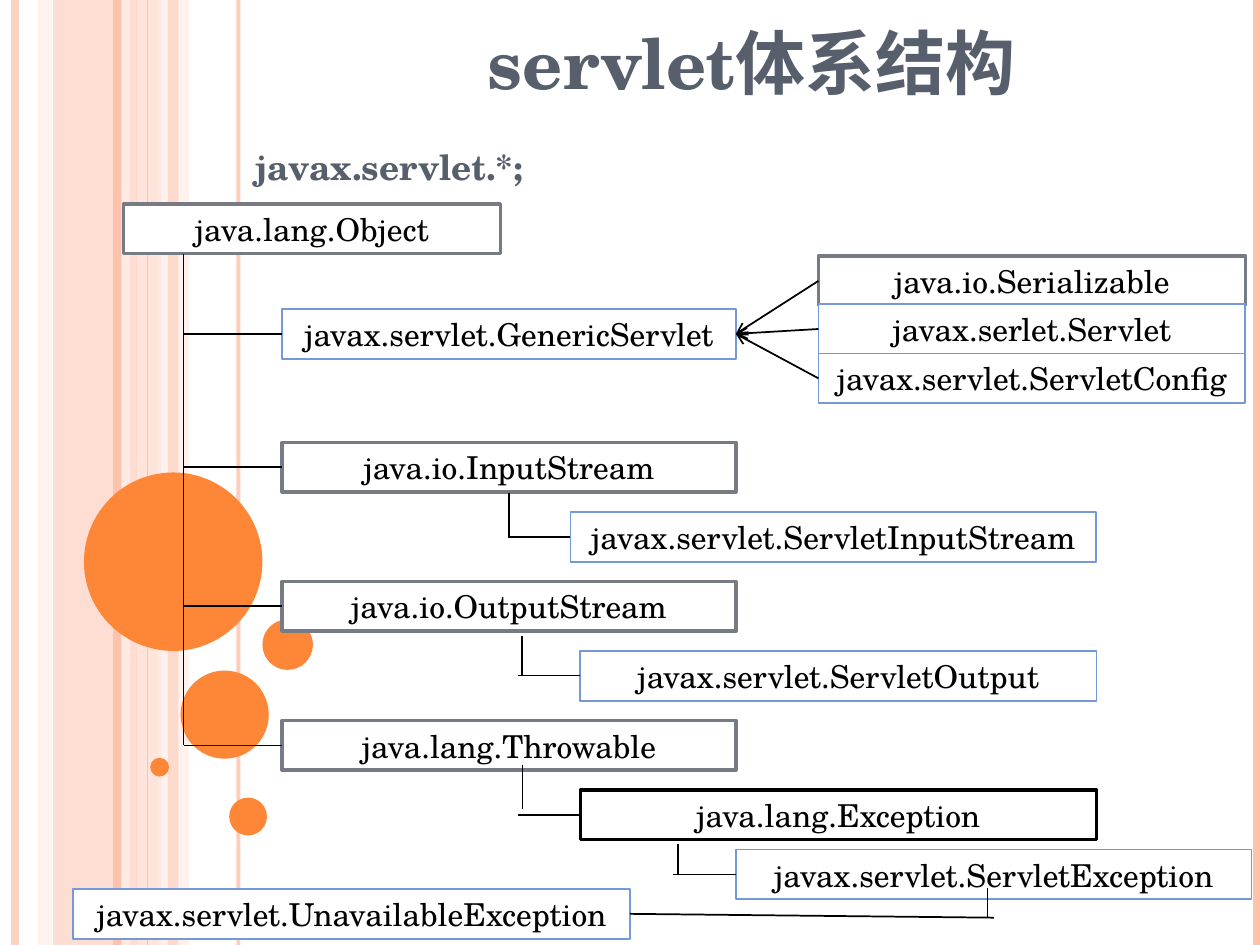
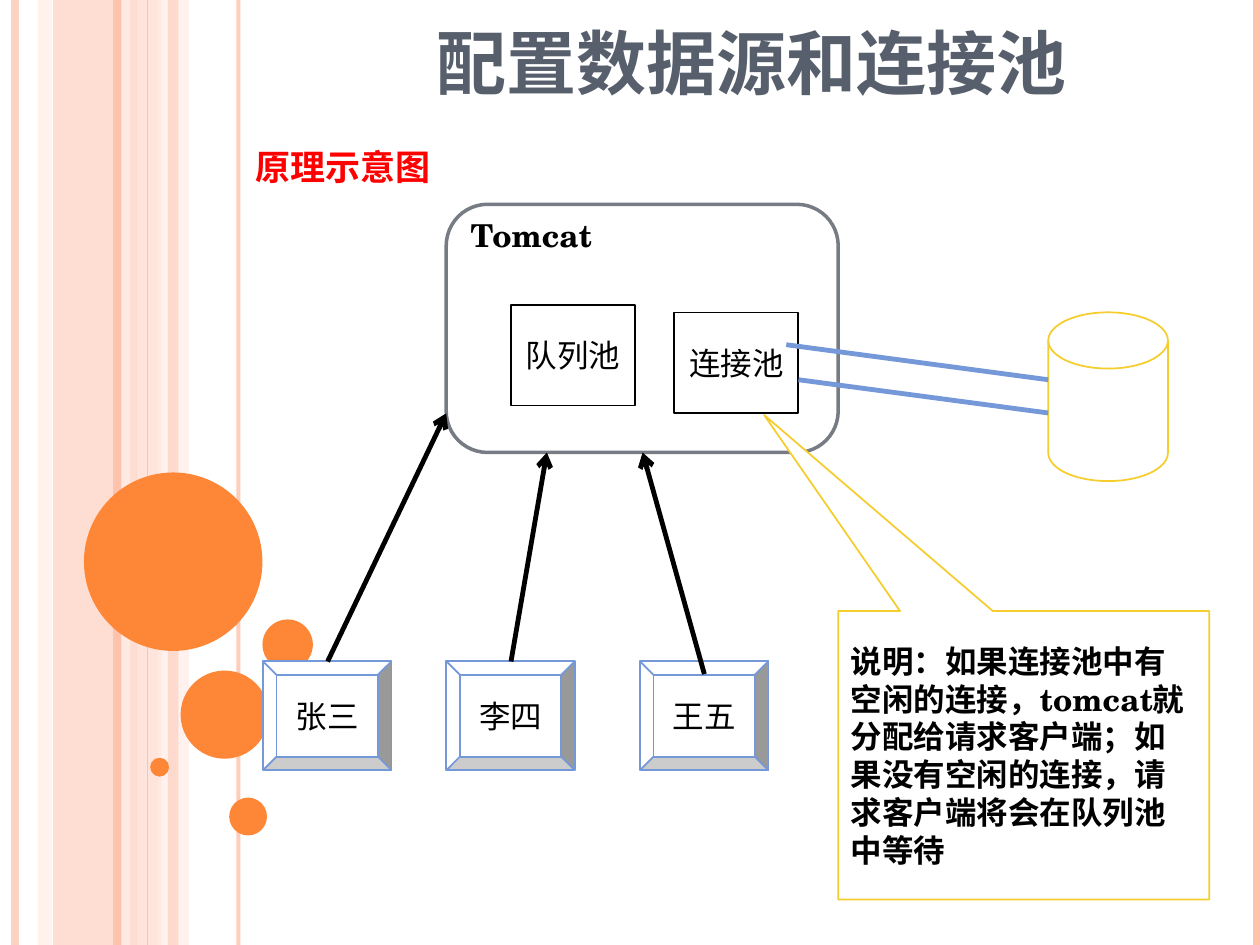
from lxml import etree
from pptx import Presentation
from pptx.dml.color import RGBColor
from pptx.enum.shapes import MSO_CONNECTOR, MSO_SHAPE
from pptx.enum.text import MSO_ANCHOR, MSO_AUTO_SIZE, PP_ALIGN
from pptx.oxml.ns import qn
from pptx.util import Pt

WIDTH, HEIGHT = 720, 540
LATIN, CJK = "TeX Gyre Schola", "Noto Sans CJK SC"
BLACK = RGBColor(0x00, 0x00, 0x00)
WHITE = RGBColor(0xFF, 0xFF, 0xFF)
SLATE = RGBColor(0x57, 0x5F, 0x6D)
GRAY = RGBColor(0x77, 0x7C, 0x84)
BLUE = RGBColor(0x75, 0x98, 0xD9)
YELLOW = RGBColor(0xF5, 0xCD, 0x2D)
RED = RGBColor(0xFF, 0x00, 0x00)
ORANGE = RGBColor(0xFE, 0x86, 0x37)
PEACH = RGBColor(0xFE, 0xC2, 0xAD)
PALE = RGBColor(0xFF, 0xD9, 0xCD)
FAINT = RGBColor(0xFF, 0xED, 0xE7)

BANDS = [(30.2, 48, PEACH, 54), (21.6, 8, PALE, 36), (77.8, 14.4, PALE, 69),
         (90, 18, FAINT, 70), (96, 6, PEACH, 50)]
STRIPES = [(8.6, PEACH, 4.5, 72), (72, FAINT, 4.5, 83), (67, PEACH, 4.5, 100),
           (136.2, PEACH, 2.25, 81), (84.2, PEACH, 0.75, 100), (718, PEACH, 4.5, 100)]
BUBBLES = [(48, 270, 102), (103.2, 383.2, 50.4), (85.8, 433, 10.8),
           (131, 455.8, 21.6), (150, 354, 28.8)]


class Deck:
    def __init__(self):
        self.prs = Presentation()
        self.prs.slide_width, self.prs.slide_height = Pt(WIDTH), Pt(HEIGHT)
        self.s = None

    def slide(self, title, subtitle, color):
        self.s = self.prs.slides.add_slide(self.prs.slide_layouts[5])
        self.background()
        sp = self.s.shapes.title
        sp.left, sp.top, sp.width, sp.height = Pt(139), Pt(0), Pt(581), Pt(62.6)
        self.text(sp, title, 40, SLATE, True, anchor=MSO_ANCHOR.BOTTOM)
        sp = self.s.shapes.add_textbox(Pt(139), Pt(79.5), Pt(581), Pt(36))
        self.text(sp, subtitle, 20, color, True, PP_ALIGN.LEFT, MSO_ANCHOR.TOP)

    def background(self):
        for x, w, color, alpha in BANDS:
            sp = self.shape(MSO_SHAPE.RECTANGLE, x, 0, w, HEIGHT, color)
            self.opacity(sp, alpha)
        for x, color, width, alpha in STRIPES:
            self.opacity(self.line(x, 0, x, HEIGHT, color, width), alpha)
        for x, y, d in BUBBLES:
            self.shape(MSO_SHAPE.OVAL, x, y, d, d, ORANGE)

    def opacity(self, sp, percent):
        if percent < 100:
            clr = next(sp._element.spPr.iter(qn("a:srgbClr")))
            etree.SubElement(clr, qn("a:alpha"), val=str(percent * 1000))

    def shape(self, kind, x, y, w, h, fill=WHITE, line=None, width=1):
        sp = self.s.shapes.add_shape(kind, Pt(x), Pt(y), Pt(w), Pt(h))
        sp.shadow.inherit = False
        sp.fill.solid()
        sp.fill.fore_color.rgb = fill
        if line is None:
            sp.line.fill.background()
        else:
            sp.line.color.rgb = line
            sp.line.width = Pt(width)
        return sp

    def text(self, sp, runs, size=18, color=BLACK, bold=False,
             align=PP_ALIGN.CENTER, anchor=MSO_ANCHOR.MIDDLE, font=LATIN):
        tf = sp.text_frame
        tf.word_wrap = True
        tf.auto_size = MSO_AUTO_SIZE.NONE
        tf.vertical_anchor = anchor
        p = tf.paragraphs[0]
        p.alignment = align
        p.font.size, p.font.bold, p.font.name = Pt(size), bold, font
        p.font.color.rgb = color
        ea = etree.SubElement(p._p.pPr.find(qn("a:defRPr")), qn("a:ea"))
        ea.set("typeface", CJK)
        for run in [runs] if isinstance(runs, str) else runs:
            r = p.add_run()
            r.text = run
            if font == CJK and run.isascii():
                r.font.name = LATIN

    def box(self, label, x, y, w, h, line, width=1, kind=MSO_SHAPE.RECTANGLE, font=CJK):
        sp = self.shape(kind, x, y, w, h, line=line, width=width)
        self.text(sp, label, font=font)

    def line(self, x1, y1, x2, y2, color=BLACK, width=1, arrow=False):
        cn = self.s.shapes.add_connector(MSO_CONNECTOR.STRAIGHT, Pt(x1), Pt(y1), Pt(x2), Pt(y2))
        cn.line.color.rgb = color
        cn.line.width = Pt(width)
        if arrow:
            etree.SubElement(cn.line._get_or_add_ln(), qn("a:tailEnd"), type="arrow")
        etree.SubElement(cn._element.spPr, qn("a:effectLst"))
        return cn


def servlet_slide(deck):
    deck.slide("servlet体系结构", "javax.servlet.*;", SLATE)
    box_h = 28.4
    classes = [
        ("java.lang.Object", 70.6, 116.6, 215.3, GRAY, 2),
        ("javax.servlet.GenericServlet", 161.3, 176.6, 259.2, BLUE, 1),
        ("java.io.InputStream", 161.3, 252.8, 259.2, GRAY, 2),
        ("java.io.OutputStream", 161.3, 332.3, 259.2, GRAY, 2),
        ("java.lang.Throwable", 161.3, 411.8, 259.2, GRAY, 2),
        ("javax.servlet.ServletInputStream", 326, 292.7, 300.4, BLUE, 1),
        ("javax.servlet.ServletOutput", 331.6, 372.1, 295, BLUE, 1),
        ("java.lang.Exception", 331.6, 451.5, 295, BLACK, 2),
        ("java.io.Serializable", 467.7, 146.3, 244, GRAY, 2),
        ("javax.serlet.Servlet", 467.7, 173.8, 244, BLUE, 1),
        ("javax.servlet.ServletConfig", 467.7, 202, 244, BLUE, 1),
        ("javax.servlet.ServletException", 420.6, 485.5, 294.6, BLUE, 1),
        ("javax.servlet.UnavailableException", 41.8, 508.2, 318.2, BLUE, 1),
    ]
    for label, x, y, w, line, width in classes:
        deck.box(label, x, y, w, box_h, line, width, font=LATIN)

    trunk_x = 104.9
    deck.line(trunk_x, 145.2, trunk_x, 425.7)
    for _, x, y, *_ in classes[1:5]:
        deck.line(trunk_x, y + box_h / 2, x, y + box_h / 2)

    for left, stem, top, bottom, right in [
        (290.2, 290.9, 281.5, 306.8, 326), (296, 298.4, 363.6, 386, 331.6),
        (296, 298.6, 437, 462.2, 331.6), (384.6, 387.4, 482.4, 499.7, 420.6),
    ]:
        deck.line(stem, top, stem, bottom)
        branch_y = max(bottom, 465.7) if bottom > 460 else bottom
        deck.line(left, branch_y, right, branch_y)
    deck.line(360, 522.2, 568, 524.4)
    deck.line(564.3, 507.6, 564.3, 524.6)

    for _, x, y, *_ in classes[8:11]:
        deck.line(x, y + box_h / 2, 420.5, 190.8, arrow=True)


def pool_slide(deck):
    deck.slide("配置数据源和连接池", "原理示意图", RED)
    server = deck.shape(MSO_SHAPE.ROUNDED_RECTANGLE, 255, 116.8, 224, 141.8, line=GRAY, width=2)
    deck.text(server, "Tomcat", bold=True, align=PP_ALIGN.LEFT, anchor=MSO_ANCHOR.TOP)
    server.text_frame.margin_top = Pt(0)
    deck.box("连接池", 385.3, 178.6, 70.9, 57.5, BLACK)
    deck.box("队列池", 292, 174.3, 70.9, 57.5, BLACK)
    deck.shape(MSO_SHAPE.FLOWCHART_MAGNETIC_DISK, 599, 178.5, 68.4, 96.4, line=YELLOW)
    for x, y, end_y in [(456.3, 217, 236), (449.3, 197, 217)]:
        deck.line(x, y, 599, end_y, BLUE, 2.75)

    for name, x, start, end in [
        ("张三", 150.2, (187.2, 378), (255, 236.2)),
        ("李四", 255, (292, 378), (312.5, 258.6)),
        ("王五", 365.6, (402.5, 385.2), (367.2, 258.6)),
    ]:
        deck.box(name, x, 377.8, 73.6, 62.4, BLUE, kind=MSO_SHAPE.BEVEL)
        deck.line(*start, *end, width=2.75, arrow=True)

    note = deck.shape(MSO_SHAPE.RECTANGULAR_CALLOUT, 479, 349.2, 212, 164.8, line=YELLOW)
    note.adjustments[0], note.adjustments[1] = -0.7, -1.18
    deck.text(note, ["说明：如果连接池中有空闲的连接，", "tomcat",
                     "就分配给请求客户端；如果没有空闲的连接，请求客户端将会在队列池中等待"],
              bold=True, align=PP_ALIGN.LEFT, font=CJK)


def main():
    deck = Deck()
    servlet_slide(deck)
    pool_slide(deck)
    deck.prs.save("out.pptx")


if __name__ == "__main__":
    main()
